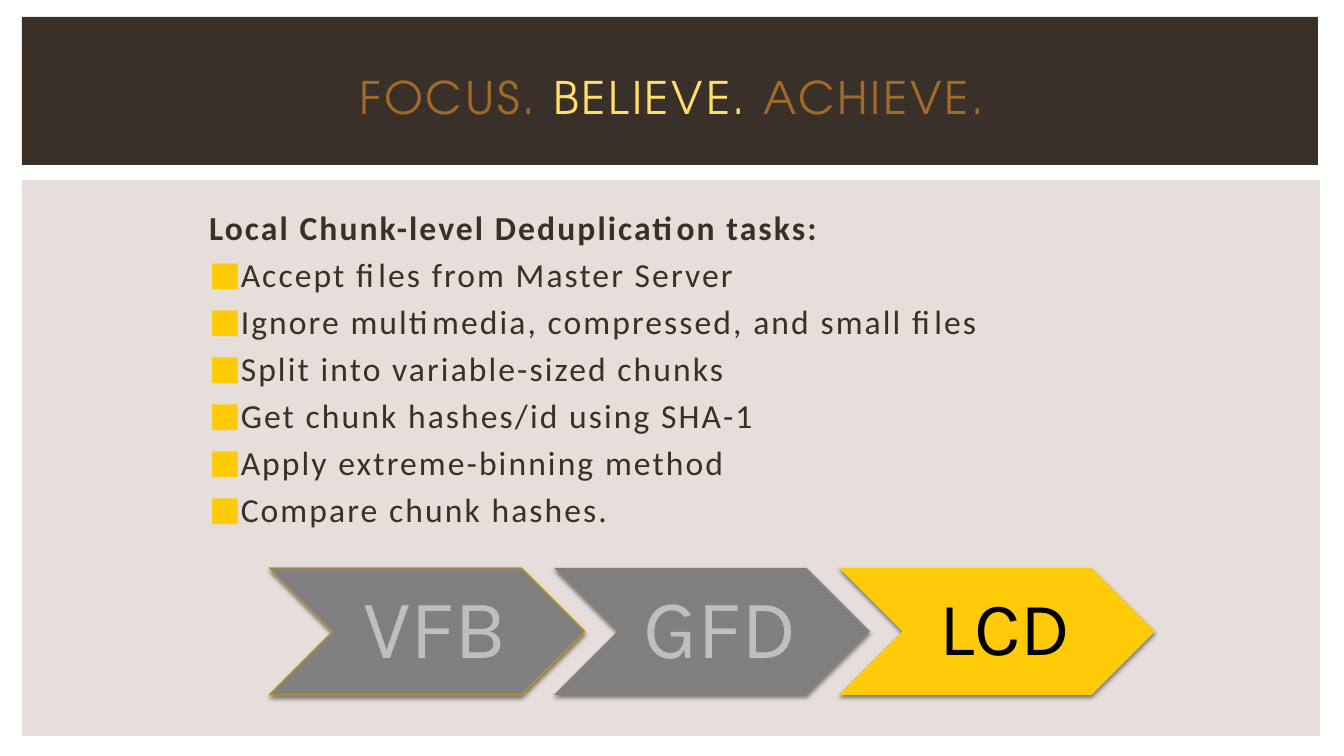
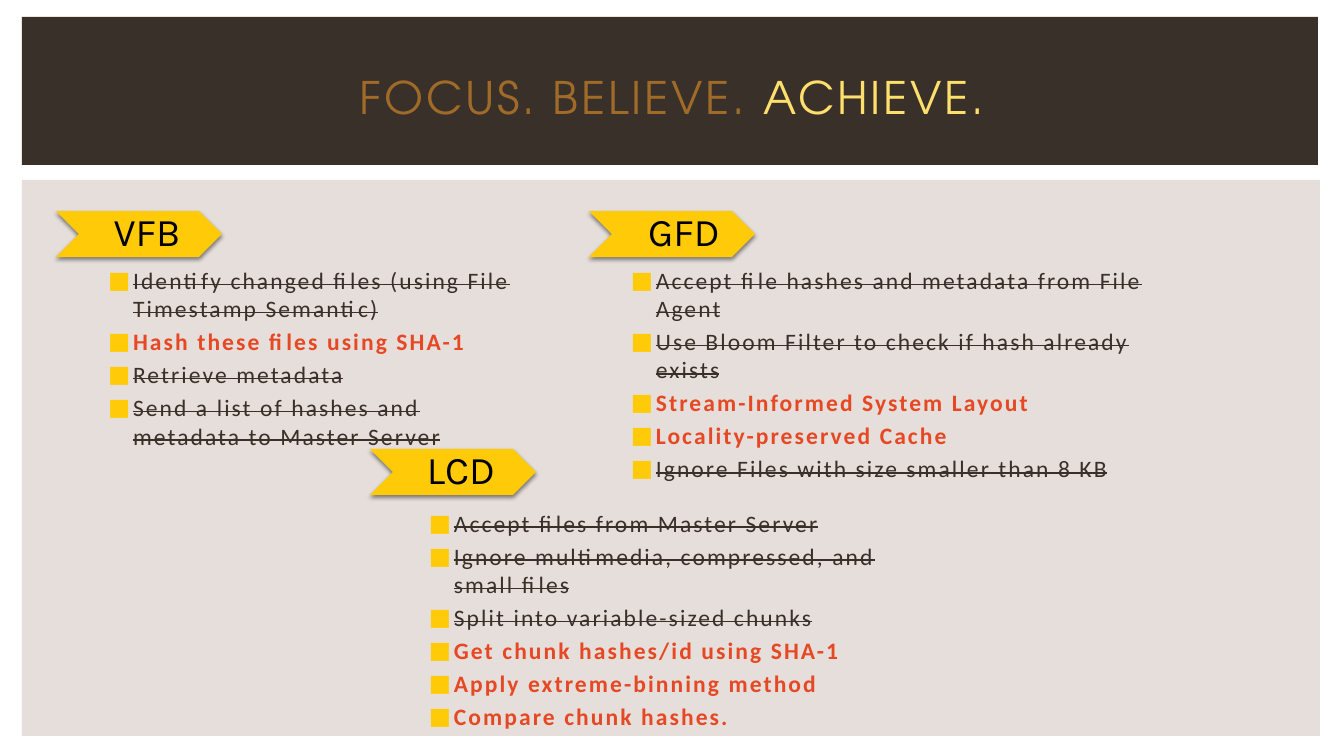
import pptx
import pptx.util
import pptx.dml.color
import pptx.enum.shapes
import pptx.enum.text
import lxml.etree

PX = 914400 / 100.8
NS = "http://schemas.openxmlformats.org/drawingml/2006/main"
INK = {
    "band": "39302A", "page": "E5DEDB", "dim": "A06A29", "lit": "FFDF6B",
    "gold": "FFCA08", "edge": "C59B00", "gray": "808080", "pale": "BFBFBF",
    "red": "E64823", "black": "000000",
}
SHAPE = pptx.enum.shapes.MSO_SHAPE
ALIGN = pptx.enum.text.PP_ALIGN
ANCHOR = pptx.enum.text.MSO_ANCHOR

WORDS = ["FOCUS.", "BELIEVE.", "ACHIEVE."]

# Each task: its text, and whether it is still to do
VFB = [
    ("Identify changed files (using File Timestamp Semantic)", False),
    ("Hash these files using SHA-1", True),
    ("Retrieve metadata", False),
    ("Send a list of hashes and metadata to Master Server", False),
]
GFD = [
    ("Accept file hashes and metadata from File Agent", False),
    ("Use Bloom Filter to check if hash already exists", False),
    ("Stream-Informed System Layout", True),
    ("Locality-preserved Cache", True),
    ("Ignore Files with size smaller than 8 KB", False),
]
LCD = [
    ("Accept files from Master Server", False),
    ("Ignore multimedia, compressed, and small files", False),
    ("Split into variable-sized chunks", False),
    ("Get chunk hashes/id using SHA-1", True),
    ("Apply extreme-binning method", True),
    ("Compare chunk hashes.", False),
]
LAST = len(LCD) - 1


def px(n):
    return pptx.util.Emu(round(n * PX))


def rgb(name):
    return pptx.dml.color.RGBColor.from_string(INK[name])


def node(parent, tag, **attrs):
    return lxml.etree.SubElement(parent, f"{{{NS}}}{tag}", attrs)


def place(shape, box):
    shape.left, shape.top, shape.width, shape.height = map(px, box)


# Text
def write(para, text, size=24, font="Calibri", color="band",
          bold=False, strike=False, track=150):
    run = para.add_run()
    run.text = text
    run.font.size = pptx.util.Pt(size)
    run.font.name = font
    run.font.bold = bold
    run.font.color.rgb = rgb(color)
    props = run.font._element
    props.set("spc", str(track))
    if strike:
        props.set("strike", "sngStrike")


def style(para, left=0, hang=0, before=0, after=0, bullet=False):
    props = para._p.get_or_add_pPr()
    props.set("marL", str(px(left)))
    props.set("indent", str(px(-hang)))
    for tag, share in (("spcBef", before), ("spcAft", after)):
        node(node(props, tag), "spcPct", val=str(share * 1000))
    if bullet:
        node(node(props, "buClr"), "srgbClr", val=INK["gold"])
        node(props, "buFont", typeface="Calibri")
        node(props, "buChar", char="■")
    else:
        node(props, "buNone")


def setup(frame, anchor):
    frame.word_wrap = True
    frame.auto_size = pptx.enum.text.MSO_AUTO_SIZE.NONE
    frame.vertical_anchor = anchor


def tasks(shape, box, items, size, head=None):
    """Fill a box with bullets; items hold text and a dict of format."""
    place(shape, box)
    frame = shape.text_frame
    setup(frame, ANCHOR.TOP)
    para = frame.paragraphs[0]
    if head:
        style(para, left=5, before=20)
        write(para, head, size=size, bold=True)
    for i, (text, look) in enumerate(items):
        if i or head:
            para = frame.add_paragraph()
        style(para, left=30, hang=25, before=20, bullet=True)
        write(para, text, size=size, **look)


# Shared parts
def bands(slide, layout):
    """Draw both bands and move them to the back of the layout."""
    for i, (box, fill) in enumerate([((22, 180, 1298, 556), "page"),
                                     ((22, 17, 1296, 148), "band")]):
        band = slide.shapes.add_shape(SHAPE.RECTANGLE, *map(px, box))
        band.shadow.inherit = False
        band.fill.solid()
        band.fill.fore_color.rgb = rgb(fill)
        band.line.fill.background()
        layout.shapes._spTree.insert(2 + i, band._element)


def title(slide, lit):
    shape = slide.shapes.title
    place(shape, (56, 39, 1232, 116))
    setup(shape.text_frame, ANCHOR.MIDDLE)
    para = shape.text_frame.paragraphs[0]
    para.alignment = ALIGN.CENTER
    for i, word in enumerate(WORDS):
        gap = " " if i < len(WORDS) - 1 else ""
        write(para, word + gap, size=32, font="TeX Gyre Adventor",
              color="lit" if i == lit else "dim", track=200)


def arrow(slide, box, text, size, fill="gold", color="black",
          edge=None, inset=24):
    shape = slide.shapes.add_shape(SHAPE.CHEVRON, *map(px, box))
    shape.fill.solid()
    shape.fill.fore_color.rgb = rgb(fill)
    if edge:
        shape.line.color.rgb = rgb(edge)
        shape.line.width = pptx.util.Pt(0.75)
    else:
        shape.line.fill.background()

    # Soft shadow straight below
    glow = node(node(shape._element.spPr, "effectLst"), "outerShdw",
                blurRad="38100", dist="25400", dir="5400000", rotWithShape="0")
    tone = node(glow, "srgbClr", val=INK["black"])
    node(tone, "alpha", val="45000")

    frame = shape.text_frame
    setup(frame, ANCHOR.MIDDLE)
    frame.margin_left = px(inset)
    frame.margin_top = frame.margin_right = frame.margin_bottom = px(8)
    para = frame.paragraphs[0]
    para.alignment = ALIGN.CENTER
    para.line_spacing = 0.9
    style(para, after=35)
    write(para, text, size=size, font="Karla", color=color, track=0)


# Regions
def chain(slide, left, top):
    """Three steps in a row, the last one lit."""
    steps = [
        ("VFB", 60, dict(fill="gray", color="pale", edge="edge")),
        ("GFD", 60, dict(fill="gray", color="pale")),
        ("LCD", 54, {}),
    ]
    for i, (text, size, look) in enumerate(steps):
        arrow(slide, (left + 285 * i, top, 316, 127), text, size, **look)


def panel(slide, box, name, items, shift, body=None, inset=24):
    """A list in its box, with a tag up and left of it by shift."""
    left, top, width, height = box
    body = body or slide.shapes.add_textbox(0, 0, 0, 0)
    looks = [(text, dict(color="red", bold=True) if todo else dict(strike=True))
             for text, todo in items]
    tasks(body, box, looks, 16.8)
    arrow(slide, (left - shift[0], top - shift[1], 166, 46), name, 28,
          inset=inset)


# Slides
def believe(slide):
    title(slide, 1)
    tasks(slide.placeholders[1], (194, 202, 1008, 403),
          [(text, {}) for text, _ in LCD], 24,
          head="Local Chunk-level Deduplication tasks:")
    chain(slide, 269, 568)


def achieve(slide):
    title(slide, 2)
    panel(slide, (93, 261, 444, 190), "VFB", VFB, (37, 50),
          body=slide.placeholders[1])
    panel(slide, (616, 261, 554, 196), "GFD", GFD, (27, 50), inset=32)
    last = LCD[:LAST] + [(LCD[LAST][0], True)]
    panel(slide, (414, 504, 509, 235), "LCD", last, (44, 55))


def main():
    deck = pptx.Presentation()
    deck.slide_width, deck.slide_height = px(1344), px(756)
    layout = deck.slide_layouts[1]
    first = deck.slides.add_slide(layout)
    bands(first, layout)
    believe(first)
    achieve(deck.slides.add_slide(layout))
    deck.save("out.pptx")


if __name__ == "__main__":
    main()
